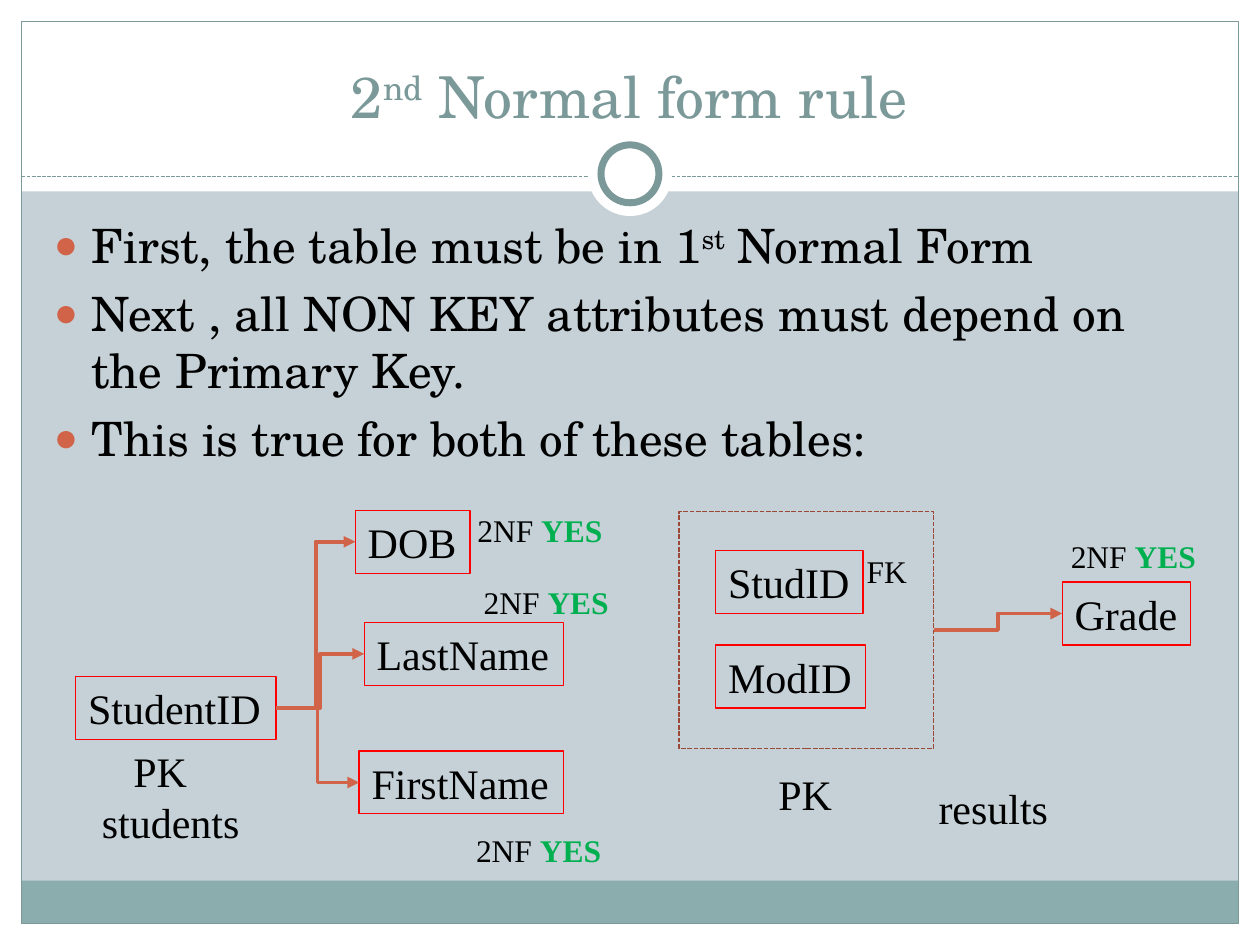
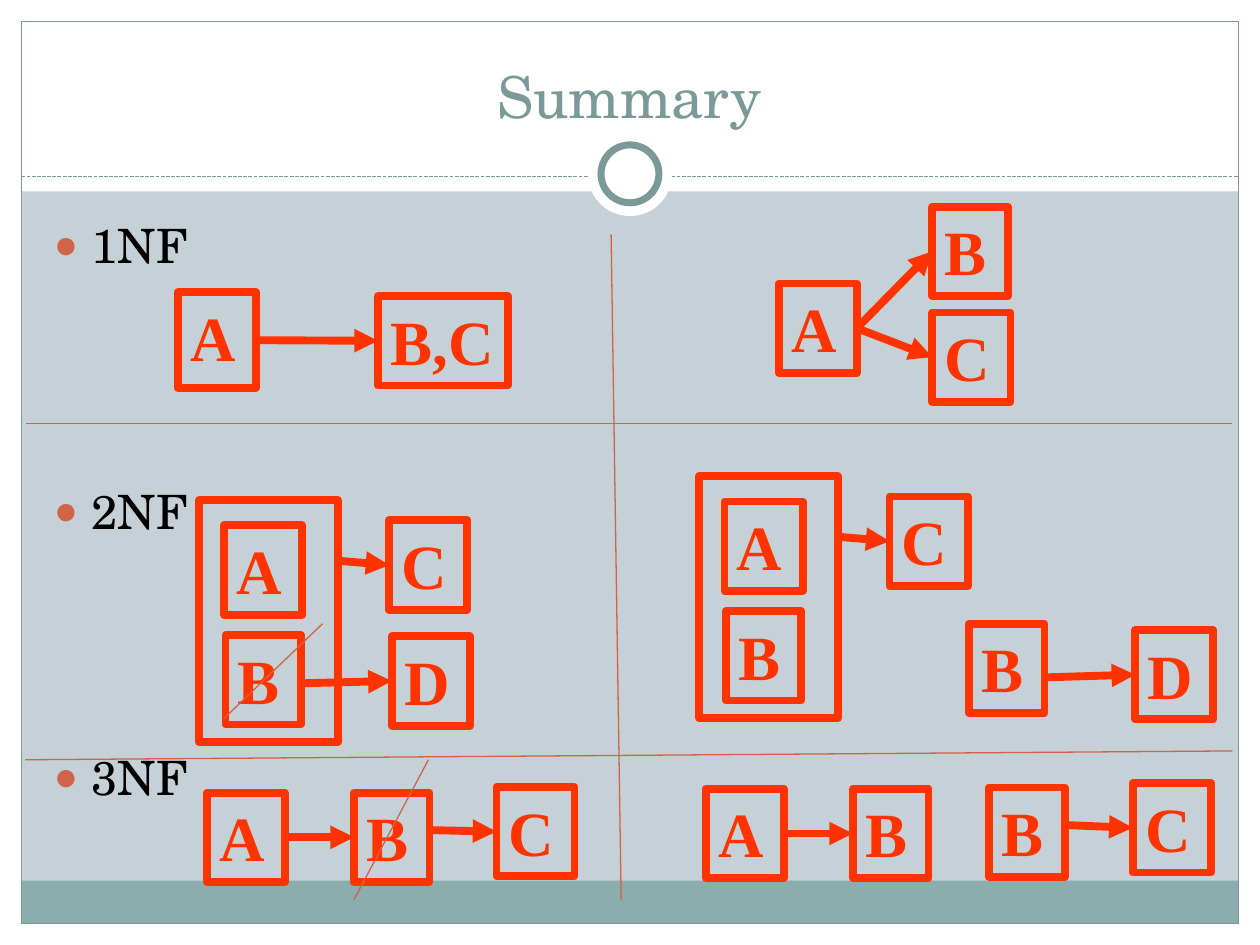
from dataclasses import dataclass

from pptx import Presentation, util as u
from pptx.dml.color import RGBColor
from pptx.enum import dml, shapes, text
from pptx.oxml.ns import qn
from lxml import etree

COLOURS = {"paper": "C5D1D7", "white": "FFFFFF", "band": "8CADAE", "teal": "7C999A",
           "rust": "D16349", "brown": "9B4936", "red": "FF0000", "orange": "FF3300",
           "green": "00B050", "black": "000000"}
SERIF, TIMES = "TeX Gyre Schola", "Times New Roman"
RECT, OVAL = shapes.MSO_SHAPE.RECTANGLE, shapes.MSO_SHAPE.OVAL
STRAIGHT, ELBOW = shapes.MSO_CONNECTOR.STRAIGHT, shapes.MSO_CONNECTOR.ELBOW
SYS_DASH = dml.MSO_LINE.SQUARE_DOT
COLUMNS, ROWS = 100, 75

deck = Presentation()
deck.slide_width, deck.slide_height = u.Inches(10), u.Inches(7.5)
COLUMN, ROW = deck.slide_width / COLUMNS, deck.slide_height / ROWS


@dataclass
class Box:
    """A rectangle measured in columns and rows of the slide grid."""
    x: float
    y: float
    w: float
    h: float

    def within(self, x, y, w, h):
        """A box placed from this one's top left corner."""
        return Box(self.x + x, self.y + y, w, h)

    def left(self, share=0.5):
        """Point on the left edge, a share of the height down."""
        return self.x, self.y + self.h * share

    def right(self, share=0.5):
        """Point on the right edge, a share of the height down."""
        return self.x + self.w, self.y + self.h * share

    def emu(self):
        """Left, top, width and height in slide units."""
        return [round(n) for n in (self.x * COLUMN, self.y * ROW,
                                   self.w * COLUMN, self.h * ROW)]


def rgb(name):
    """Look up a palette colour."""
    return RGBColor.from_string(COLOURS[name])


def stroke(line, colour, width, dash=None):
    """Format an outline or a connector line."""
    line.color.rgb = rgb(colour)
    line.width = u.Pt(width)
    if dash:
        line.dash_style = dash


def draw(slide, box, kind=RECT, fill=None, line=None, width=0.75, dash=None):
    """Add a preset shape; without fill or line that part stays empty."""
    shape = slide.shapes.add_shape(kind, *box.emu())
    shape.shadow.inherit = False
    if fill:
        shape.fill.solid()
        shape.fill.fore_color.rgb = rgb(fill)
    else:
        shape.fill.background()
    if line:
        stroke(shape.line, line, width, dash)
    else:
        shape.line.fill.background()
    return shape


def connect(slide, start, end, kind=STRAIGHT, colour="rust", width=0.75, dash=None, head=False):
    """Join two grid points, with an arrowhead at the end if asked."""
    (x1, y1), (x2, y2) = start, end
    link = slide.shapes.add_connector(kind, *[round(n) for n in (
        x1 * COLUMN, y1 * ROW, x2 * COLUMN, y2 * ROW)])
    stroke(link.line, colour, width, dash)
    if head:
        etree.SubElement(link._element.spPr.find(qn("a:ln")), qn("a:tailEnd"), type="triangle")
    etree.SubElement(link._element.spPr, qn("a:effectLst"))


def add_bullet(paragraph):
    """Give a paragraph a hanging round bullet."""
    props = paragraph._p.get_or_add_pPr()
    props.set("marL", str(u.Inches(0.3)))
    props.set("indent", str(-u.Inches(0.3)))
    colour = etree.SubElement(props, qn("a:buClr"))
    etree.SubElement(colour, qn("a:srgbClr"), val=COLOURS["rust"])
    etree.SubElement(props, qn("a:buSzPct"), val="85000")
    etree.SubElement(props, qn("a:buFont"), typeface="Arial")
    etree.SubElement(props, qn("a:buChar"), char="●")


def write(shape, paragraphs, font=TIMES, size=24, colour="black", bold=False, wrap=True,
          align=text.PP_ALIGN.LEFT, anchor=text.MSO_ANCHOR.TOP, before=0, gap=None, bullet=False):
    """Fill a shape; each paragraph is a list of (words, changes) runs."""
    frame = shape.text_frame
    frame.auto_size, frame.word_wrap = text.MSO_AUTO_SIZE.NONE, wrap
    frame.vertical_anchor = anchor
    for index, runs in enumerate(paragraphs):
        paragraph = frame.add_paragraph() if index else frame.paragraphs[0]
        paragraph.alignment = align
        paragraph.space_before = u.Pt(gap if index and gap else before)
        if bullet:
            add_bullet(paragraph)
        for words, changes in runs:
            run = paragraph.add_run()
            run.text = words
            run.font.name, run.font.size = font, u.Pt(size)
            run.font.bold = changes.get("bold", bold)
            run.font.color.rgb = rgb(changes.get("colour", colour))
            if changes.get("raised"):
                run.font._element.set("baseline", "30000")


def plain(words):
    """A run without changes."""
    return words, {}


def raised(words):
    """A superscript run."""
    return words, {"raised": True}


def label(slide, box, *runs, size=24):
    """Free-standing text in the diagram font."""
    write(slide.shapes.add_textbox(*box.emu()), [runs], size=size, wrap=False)


def add_slide(title_runs):
    """Start a slide with the shared frame, bands, ring and title."""
    slide = deck.slides.add_slide(deck.slide_layouts[5])
    slide.background.fill.solid()
    slide.background.fill.fore_color.rgb = rgb("paper")
    edge = 1.7
    inner = Box(edge, edge, COLUMNS - 2 * edge, ROWS - 2 * edge)
    for margin in (Box(0, ROWS - edge, COLUMNS, edge), Box(0, 0, COLUMNS, 15.2),
                   Box(0, 0, edge, ROWS), Box(COLUMNS - edge, 0, edge, ROWS)):
        draw(slide, margin, fill="white")
    draw(slide, Box(edge, 69.9, inner.w, 3.4), fill="band")
    draw(slide, inner, line="teal")
    connect(slide, (edge, 14), (COLUMNS - edge, 14), colour="teal", dash=SYS_DASH)
    for size, line in ((6.7, None), (4.6, "teal")):
        ring = Box((COLUMNS - size) / 2, 13.8 - size / 2, size, size)
        draw(slide, ring, OVAL, fill="white", line=line, width=4)
    title = slide.shapes.title
    title.left, title.top, title.width, title.height = Box(3.3, 2.5, 93.3, 8.3).emu()
    write(title, [title_runs], font=SERIF, size=33, colour="teal",
          align=text.PP_ALIGN.CENTER, anchor=text.MSO_ANCHOR.BOTTOM)
    slide.shapes._spTree.append(title._element)
    return slide


def bullets(slide, box, paragraphs, gap=None):
    """The bulleted body text; gap spreads the later paragraphs."""
    write(slide.shapes.add_textbox(*box.emu()), paragraphs, font=SERIF, size=27,
          before=6.4, gap=gap, bullet=True)


def field(slide, box, name):
    """A table attribute in a thin red frame."""
    write(draw(slide, box, line="red"), [[plain(name)]], wrap=False)
    return box


def verdict(slide, area, x, y):
    """The mark that an attribute meets the second normal form."""
    label(slide, area.within(x, y, 12, 4), plain("2NF "),
          ("YES", {"bold": True, "colour": "green"}), size=18)


def depends(slide, key, attribute):
    """Elbow arrow from a key to the attribute it determines."""
    connect(slide, key.right(), attribute.left(), ELBOW, width=2.25, head=True)


def students_table(slide, area):
    """Single key with three dependent attributes."""
    key = field(slide, area.within(0, 13.7, 15.9, 5), "StudentID")
    for name, x, y, width in (("LastName", 22.9, 9.4, 15.8), ("FirstName", 22.5, 19.6, 16.2),
                              ("DOB", 22.2, 0.5, 9.1)):
        depends(slide, key, field(slide, area.within(x, y, width, 5), name))
    label(slide, area.within(3.6, 18.7, 6.3, 5), plain("PK"))
    label(slide, area.within(1.1, 22.7, 13, 5), plain("students"))
    for x, y in ((30.9, 0.1), (31.4, 5.8), (30.8, 25.5)):
        verdict(slide, area, x, y)


def results_table(slide, area):
    """Composite key with one dependent attribute."""
    key = area.within(0, 0.6, 20.2, 18.8)
    field(slide, area.within(2.9, 3.7, 11.7, 5), "StudID")
    field(slide, area.within(2.9, 11.2, 11.9, 5), "ModID")
    grade = field(slide, area.within(30.4, 6.2, 10.2, 5), "Grade")
    draw(slide, key, line="brown", width=0.9, dash=SYS_DASH)
    depends(slide, key, grade)
    label(slide, area.within(6.9, 20.5, 6.3, 5), plain("PK"))
    label(slide, area.within(19.6, 21.6, 10.8, 5), plain("results"))
    label(slide, area.within(13.9, 3.3, 5.2, 4), plain("FK"), size=18)
    verdict(slide, area, 30.1, 2.1)


def letter(slide, area, x, y, name, width=None, height=7.1):
    """An attribute letter in a heavy orange frame."""
    box = area.within(x, y, width or (6 if name == "B" else 6.2), height)
    write(draw(slide, box, line="orange", width=4.5), [[plain(name)]],
          size=36, colour="orange", bold=True, wrap=len(name) == 1)
    return box


def arrow(slide, source, target, share=0.5):
    """Heavy arrow from the right edge of one box to the left of another."""
    connect(slide, source.right(share), target.left(), colour="orange", width=4.5, head=True)


def first_form(slide, before, after):
    """Repeating values, then the same values split apart."""
    values = letter(slide, before, 15.9, 0.3, "B,C", width=10.3)
    arrow(slide, letter(slide, before, 0, 0, "A", height=7.6), values)
    root = letter(slide, after, 0, 6.1, "A")
    for name, y in (("B", 0), ("C", 8.4)):
        arrow(slide, root, letter(slide, after, 12.2, y, name))


def composite_key(slide, area):
    """Key of A and B that determines C; gives back the B box."""
    letter(slide, area, 2, 2, "A")
    second_key = letter(slide, area, 2.1, 10.7, "B")
    arrow(slide, area, letter(slide, area, 15.1, 1.6, "C"), share=0.25)
    draw(slide, area, line="orange", width=4.5)
    return second_key


def second_form(slide, before, after):
    """Dependency on half of a key, then moved to a table of its own."""
    second_key = composite_key(slide, before)
    arrow(slide, second_key, letter(slide, before, 15.3, 10.8, "D"), share=0.54)
    composite_key(slide, after)
    own_key = letter(slide, after, 21.4, 11.7, "B")
    arrow(slide, own_key, letter(slide, after, 34.6, 12.2, "D"), share=0.6)


def third_form(slide, before, after):
    """Chain of dependencies, then cut into two tables."""
    for area in (before, after):
        middle = letter(slide, area, 11.7, 0, "B")
        arrow(slide, letter(slide, area, 0, 0, "A"), middle)
        if area is after:
            middle = letter(slide, area, 22.5, -0.1, "B")
        last = letter(slide, area, 23 if area is before else 33.9, -0.45, "C")
        arrow(slide, middle, last, share=0.42)


def rules_and_strikes(slide):
    """Thin lines between the cells and through the removed keys."""
    for start, end in (((48.5, 18.6), (49.3, 71.4)), ((2.1, 33.6), (97.8, 33.6)),
                       ((2, 60.3), (97.8, 59.6)), ((17.8, 57), (25.6, 49.5)),
                       ((28.1, 71.4), (34, 60.3))):
        connect(slide, start, end)


BODY = Box(3.3, 16.7, 93, 50)

rule = add_slide([plain("2"), raised("nd"), plain(" Normal form rule")])
bullets(rule, BODY, [
    [plain("First, the table must be in 1"), raised("st"), plain(" Normal Form")],
    [plain("Next , all NON KEY attributes must depend on the Primary Key.")],
    [plain("This is true for both of these tables:")]])
students_table(rule, Box(6, 40, 43, 30))
results_table(rule, Box(53.9, 40, 42, 30))

summary = add_slide([plain("Summary")])
bullets(summary, BODY, [[plain(name)] for name in ("1NF", "2NF", "3NF")], gap=119.4)
first_form(summary, Box(14.1, 23.2, 27, 8), Box(61.8, 16.4, 19, 16))
second_form(summary, Box(15.8, 39.7, 11, 19.2), Box(55.5, 37.8, 11, 19.2))
third_form(summary, Box(16.4, 62.9, 30, 8), Box(56, 62.6, 41, 8))
rules_and_strikes(summary)

deck.save("out.pptx")
